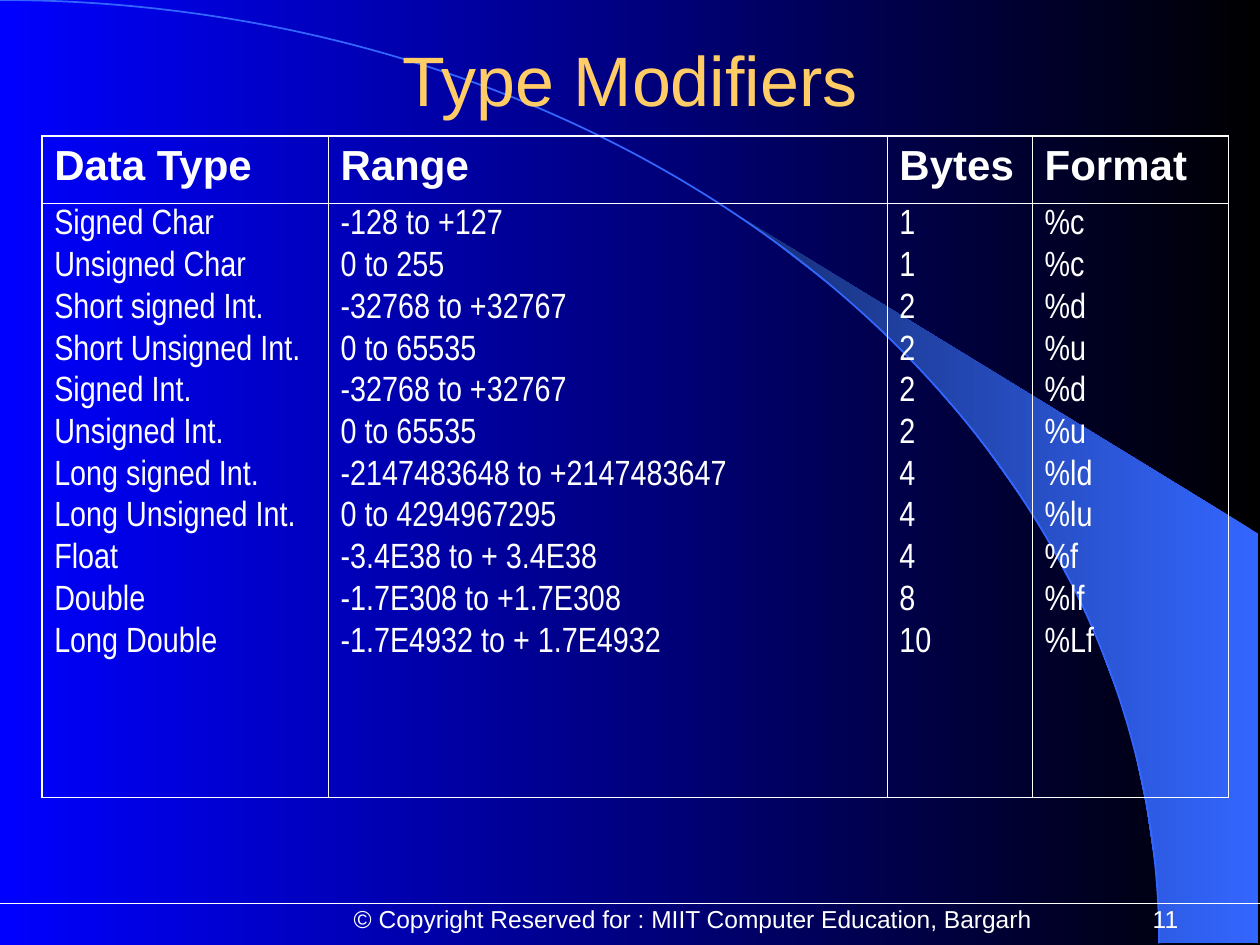
import math
from dataclasses import dataclass

from lxml import etree
from pptx import Presentation
from pptx.dml.color import RGBColor
from pptx.enum import shapes, text
from pptx.oxml import ns
from pptx.util import Pt

# Content
TITLE = "Type Modifiers"
HEADINGS = ["Data Type", "Range", "Bytes", "Format"]
TYPES = [
    ("Signed Char", "-128 to +127", "1", "%c"),
    ("Unsigned Char", "0 to 255", "1", "%c"),
    ("Short signed Int.", "-32768 to +32767", "2", "%d"),
    ("Short Unsigned Int.", "0 to 65535", "2", "%u"),
    ("Signed Int.", "-32768 to +32767", "2", "%d"),
    ("Unsigned Int.", "0 to 65535", "2", "%u"),
    ("Long signed Int.", "-2147483648 to +2147483647", "4", "%ld"),
    ("Long Unsigned Int.", "0 to 4294967295", "4", "%lu"),
    ("Float", "-3.4E38 to + 3.4E38", "4", "%f"),
    ("Double", "-1.7E308 to +1.7E308", "8", "%lf"),
    ("Long Double", "-1.7E4932 to + 1.7E4932", "10", "%Lf"),
]
# Footer parts: words, left, width
FOOTERS = [
    ("© Copyright Reserved for : MIIT Computer Education, Bargarh", 171, 450),
    ("11", 630, 72),
]


@dataclass(frozen=True)
class Theme:
    white: str = "FFFFFF"
    black: str = "000000"
    blue: str = "0000FF"
    gold: str = "FFCC66"
    sweep: str = "3366FF"
    sweep_dark: str = "172F75"
    font: str = "Arial"
    narrow: str = "Arial Narrow"
    title: float = 40
    heading: float = 24
    body: float = 20
    footer: float = 14
    gap: float = 5
    outer: float = 1.08
    inner: float = 0.45


THEME = Theme()

# Layout in points
WIDTH, HEIGHT = 720, 540
COLUMNS = [163.6, 319.4, 83, 112.2]
ROWS = [38.2, 339.8]
TABLE_LEFT, TABLE_TOP = 23.8, 77.8
ARC_X, ARC_Y = 662.4, 539  # radii of the sweeping curve
SWEEP_START, SWEEP_STEPS = 39.7, 24
FOOTER_TOP = 516.2


def style(frame, size, color, font=THEME.font, bold=False, align=None):
    for index, paragraph in enumerate(frame.paragraphs):
        paragraph.alignment = align
        paragraph.space_before = Pt(THEME.gap if index else 0)
        paragraph.font.name = font
        paragraph.font.size = Pt(size)
        paragraph.font.bold = bold
        paragraph.font.color.rgb = RGBColor.from_string(color)


def gradient(fill, *colors):
    fill.gradient()
    fill.gradient_angle = 180
    for stop, color in zip(fill.gradient_stops, colors):
        stop.color.rgb = RGBColor.from_string(color)


def outline(shape, color, width):
    shape.line.color.rgb = RGBColor.from_string(color)
    shape.line.width = Pt(width)


def borders(cell, widths):
    properties = cell._tc.get_or_add_tcPr()
    for side, width in zip("LRTB", widths):
        line = etree.SubElement(properties, ns.qn(f"a:ln{side}"), w=str(Pt(width)))
        fill = etree.SubElement(line, ns.qn("a:solidFill"))
        etree.SubElement(fill, ns.qn("a:srgbClr"), val=THEME.white)


def add_backdrop(slide):
    gradient(slide.background.fill, THEME.black, THEME.blue)

    # Sweep between the curve and the right edge
    edge = []
    for step in range(SWEEP_STEPS + 1):
        angle = math.radians(SWEEP_START + (90 - SWEEP_START) * step / SWEEP_STEPS)
        edge.append((ARC_X * math.sin(angle), ARC_Y * (1 - math.cos(angle))))
    builder = slide.shapes.build_freeform(*edge[0], scale=Pt(1))
    builder.add_line_segments(edge[1:] + [(719.3, 539), (719.3, 304.6)], close=True)
    sweep = builder.convert_to_shape()
    sweep.shadow.inherit = False
    gradient(sweep.fill, THEME.sweep, THEME.sweep_dark)
    sweep.line.fill.background()

    # Curve
    curve = slide.shapes.add_shape(shapes.MSO_SHAPE.ARC, Pt(-ARC_X), Pt(0),
                                   Pt(2 * ARC_X), Pt(2 * ARC_Y))
    curve.shadow.inherit = False
    curve.fill.background()
    outline(curve, THEME.sweep, 1)

    # Footer rule
    rule = slide.shapes.add_connector(shapes.MSO_CONNECTOR.STRAIGHT,
                                      Pt(0), Pt(FOOTER_TOP), Pt(WIDTH), Pt(FOOTER_TOP))
    etree.SubElement(rule.element.spPr, ns.qn("a:effectLst"))
    outline(rule, THEME.white, 0.75)


def add_title(slide):
    title = slide.shapes.title
    title.element.getparent().append(title.element)  # in front of the curve
    title.left, title.top, title.width, title.height = Pt(54), Pt(18), Pt(612), Pt(54)
    title.text_frame.text = TITLE
    title.text_frame.vertical_anchor = text.MSO_ANCHOR.MIDDLE
    style(title.text_frame, THEME.title, THEME.gold, align=text.PP_ALIGN.CENTER)


def add_types(slide):
    table = slide.shapes.add_table(len(ROWS), len(COLUMNS), Pt(TABLE_LEFT), Pt(TABLE_TOP),
                                   Pt(sum(COLUMNS)), Pt(sum(ROWS))).table
    table.first_row = table.horz_banding = False
    for row, height in zip(table.rows, ROWS):
        row.height = Pt(height)
    last = len(COLUMNS) - 1
    for c, (heading, values) in enumerate(zip(HEADINGS, zip(*TYPES))):
        table.columns[c].width = Pt(COLUMNS[c])
        head, body = table.cell(0, c), table.cell(1, c)
        head.text, body.text = heading, "\n".join(values)
        style(head.text_frame, THEME.heading, THEME.white, bold=True)
        style(body.text_frame, THEME.body, THEME.white, THEME.narrow)
        for cell, is_head in ((head, True), (body, False)):
            outer_sides = (c == 0, c == last, is_head, not is_head)
            borders(cell, [THEME.outer if side else THEME.inner for side in outer_sides])
            cell.fill.background()


def add_footers(slide):
    for words, left, width in FOOTERS:
        frame = slide.shapes.add_textbox(Pt(left), Pt(FOOTER_TOP), Pt(width), Pt(18)).text_frame
        frame.word_wrap = True
        frame.vertical_anchor = text.MSO_ANCHOR.MIDDLE
        frame.text = words
        style(frame, THEME.footer, THEME.white, align=text.PP_ALIGN.CENTER)


def main():
    deck = Presentation()
    deck.slide_width, deck.slide_height = Pt(WIDTH), Pt(HEIGHT)
    slide = deck.slides.add_slide(deck.slide_layouts.get_by_name("Title Only"))
    add_backdrop(slide)
    add_title(slide)
    add_types(slide)
    add_footers(slide)
    deck.save("out.pptx")


if __name__ == "__main__":
    main()
